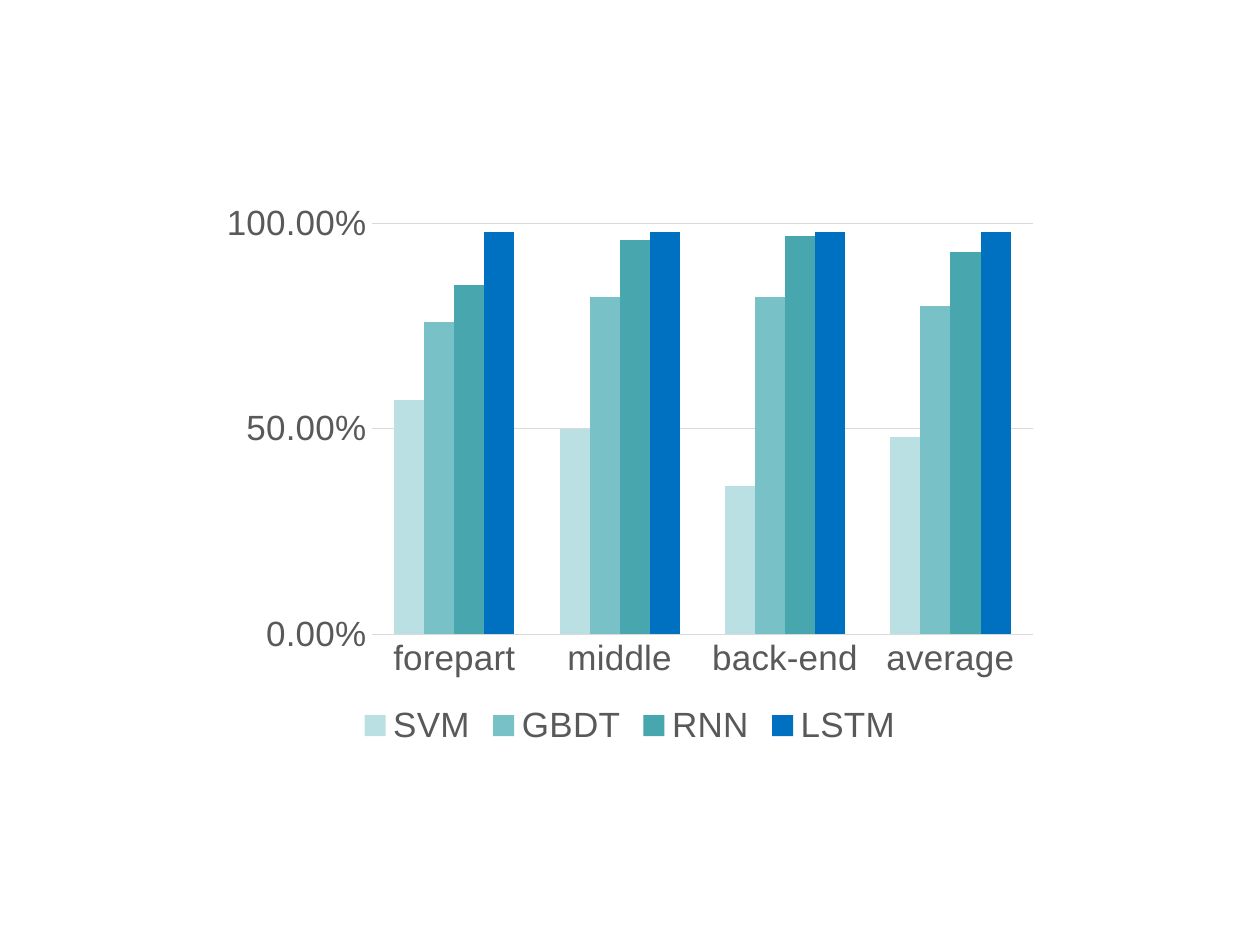
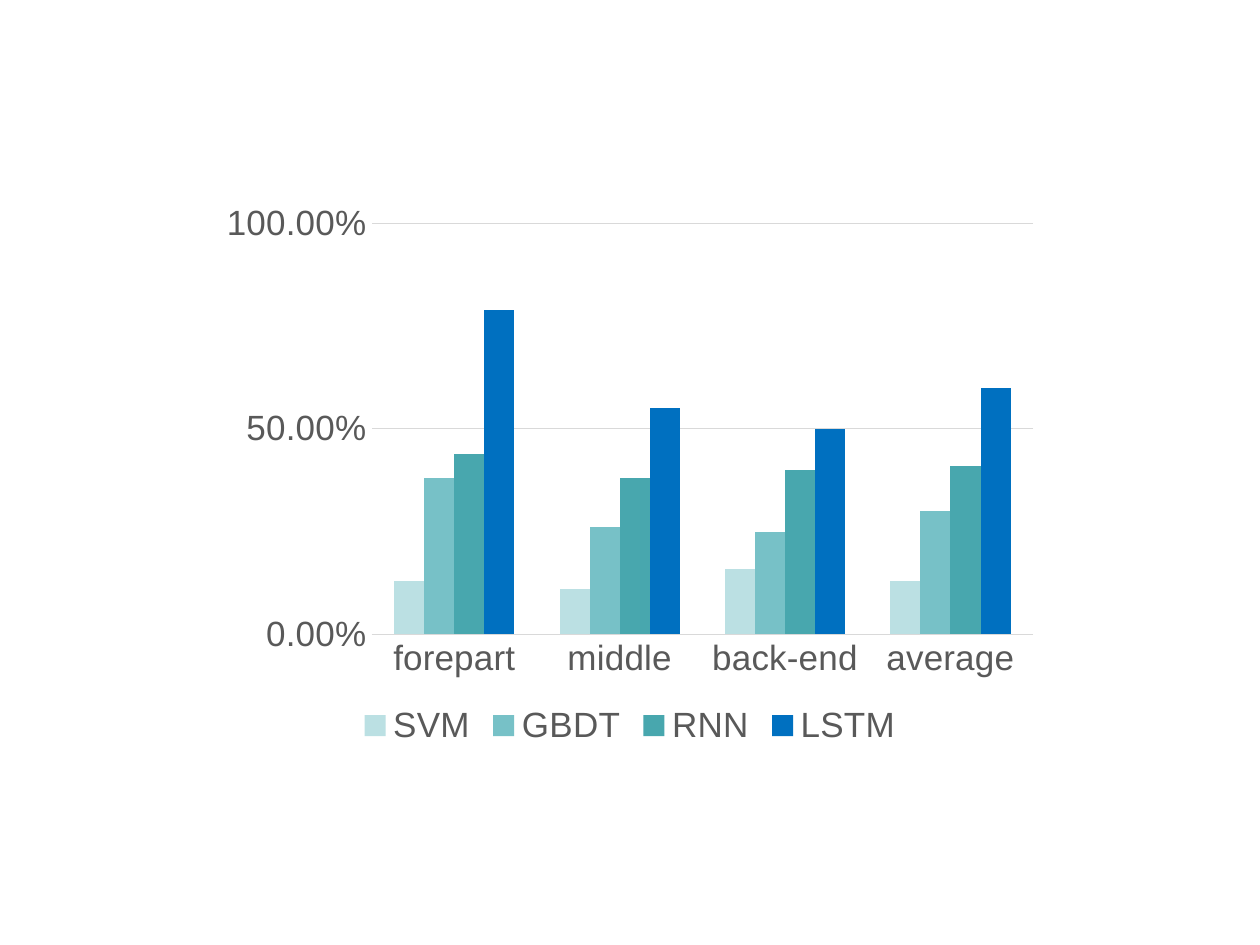
"""Builds two slides comparing four models by sequence part in column charts."""
from pptx import Presentation
from pptx.chart.data import CategoryChartData
from pptx.dml.color import RGBColor
from pptx.enum.chart import XL_CHART_TYPE, XL_LEGEND_POSITION, XL_TICK_MARK
from pptx.util import Pt

CLUSTERED = XL_CHART_TYPE.COLUMN_CLUSTERED
BOTTOM = XL_LEGEND_POSITION.BOTTOM
NO_TICK = XL_TICK_MARK.NONE
BLANK_LAYOUT = 6
FONT = "Arial"
COLORS = {
    "label": "595959",
    "grid": "D9D9D9",
    "SVM": "BBE0E3",
    "GBDT": "77C1C7",
    "RNN": "48A7AE",
    "LSTM": "0070C0",
}
PARTS = ["forepart", "middle", "back-end", "average"]
SCORES = [
    {
        "SVM": [0.57, 0.5, 0.36, 0.48],
        "GBDT": [0.76, 0.82, 0.82, 0.8],
        "RNN": [0.85, 0.96, 0.97, 0.93],
        "LSTM": [0.98, 0.98, 0.98, 0.98],
    },
    {
        "SVM": [0.13, 0.11, 0.16, 0.13],
        "GBDT": [0.38, 0.26, 0.25, 0.3],
        "RNN": [0.44, 0.38, 0.4, 0.41],
        "LSTM": [0.79, 0.55, 0.5, 0.6],
    },
]


def color(key):
    return RGBColor.from_string(COLORS[key])


def style_line(line):
    line.color.rgb = color("grid")
    line.width = Pt(0.75)


def style_axes(chart):
    part_axis, score_axis = chart.category_axis, chart.value_axis
    for axis in (part_axis, score_axis):
        axis.major_tick_mark = NO_TICK
        axis.minor_tick_mark = NO_TICK
    style_line(part_axis.format.line)
    score_axis.format.line.fill.background()
    score_axis.minimum_scale = 0
    score_axis.maximum_scale = 1
    score_axis.major_unit = 0.5
    score_axis.tick_labels.number_format = "0.00%"
    score_axis.tick_labels.number_format_is_linked = False
    score_axis.has_major_gridlines = True
    style_line(score_axis.major_gridlines.format.line)


def style_columns(plot):
    plot.gap_width = 150
    plot.overlap = 0
    plot.vary_by_categories = False
    for model in plot.series:
        model.format.fill.solid()
        model.format.fill.fore_color.rgb = color(model.name)


def add_score_chart(slide, scores):
    data = CategoryChartData(number_format="0.00%")
    data.categories = PARTS
    for model, values in scores.items():
        data.add_series(model, values)
    chart = slide.shapes.add_chart(
        CLUSTERED, Pt(120), Pt(110), Pt(480), Pt(320), data
    ).chart
    chart.has_title = False
    chart.font.name = FONT
    chart.font.size = Pt(20)
    chart.font.color.rgb = color("label")
    chart.has_legend = True
    chart.legend.position = BOTTOM
    chart.legend.include_in_layout = False
    style_axes(chart)
    style_columns(chart.plots[0])


def main():
    deck = Presentation()
    deck.slide_width, deck.slide_height = Pt(720), Pt(540)
    for scores in SCORES:
        slide = deck.slides.add_slide(deck.slide_layouts[BLANK_LAYOUT])
        add_score_chart(slide, scores)
    deck.save("out.pptx")


if __name__ == "__main__":
    main()
